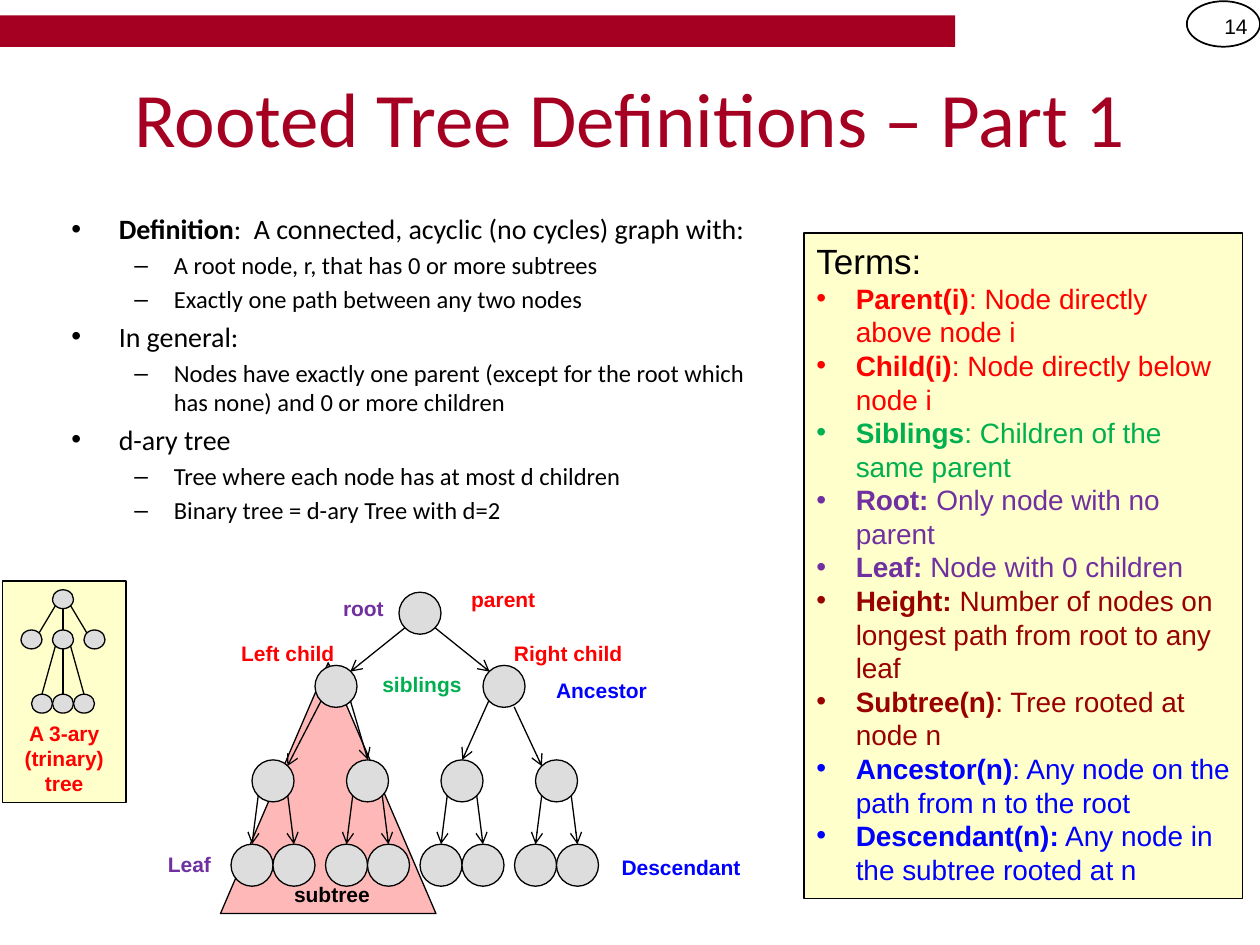
from itertools import product

from lxml.etree import SubElement
from pptx import Presentation
from pptx.dml.color import RGBColor
from pptx.enum.shapes import MSO_CONNECTOR, MSO_SHAPE
from pptx.enum.text import MSO_ANCHOR, PP_ALIGN
from pptx.oxml.ns import qn
from pptx.util import Pt

BLACK = RGBColor(0x00, 0x00, 0x00)
CRIMSON = RGBColor(0xA5, 0x00, 0x21)
CREAM = RGBColor(0xFF, 0xFF, 0xCC)
PINK = RGBColor(0xFF, 0xB8, 0xB8)
GRAY = RGBColor(0xDD, 0xDD, 0xDD)
RED = RGBColor(0xFF, 0x00, 0x00)
GREEN = RGBColor(0x00, 0xB0, 0x50)
PURPLE = RGBColor(0x70, 0x30, 0xA0)
MAROON = RGBColor(0x99, 0x00, 0x00)
BLUE = RGBColor(0x00, 0x00, 0xFF)


def write(frame, text, lead="", size=12, color=BLACK, font="Arial", bold=False,
          align=PP_ALIGN.LEFT, bullet=None, margin=0, hang=0, before=0):
    """Add a paragraph: a bold lead, then text; the first one fills the empty paragraph."""
    first = not frame.paragraphs[0].runs
    paragraph = frame.paragraphs[0] if first else frame.add_paragraph()
    if bullet:
        properties = paragraph._p.get_or_add_pPr()
        properties.set("marL", str(Pt(margin)))
        properties.set("indent", str(-Pt(hang)))
        SubElement(properties, qn("a:buFont"), typeface="Arial")
        SubElement(properties, qn("a:buChar"), char=bullet)
    paragraph.alignment = align
    if before and not first:
        paragraph.space_before = Pt(before)
    for words, heavy in ((lead, True), (text, bold)):
        if words:
            run = paragraph.add_run()
            run.text = words
            run.font.name = font
            run.font.size = Pt(size)
            run.font.bold = heavy
            run.font.color.rgb = color


class TreeSlide:
    def __init__(self, slide, line_color=BLACK, line_width=0.75, node_fill=GRAY):
        self.slide = slide
        self.line_color = line_color
        self.line_width = line_width
        self.node_fill = node_fill

    def shape(self, kind, left, top, width, height, fill=None, outline=True, weight=None):
        shape = self.slide.shapes.add_shape(kind, Pt(left), Pt(top), Pt(width), Pt(height))
        shape.shadow.inherit = False
        if fill is None:
            shape.fill.background()
        else:
            shape.fill.solid()
            shape.fill.fore_color.rgb = fill
        if outline:
            shape.line.color.rgb = self.line_color
            shape.line.width = Pt(weight or self.line_width)
        else:
            shape.line.fill.background()
        return shape

    def node(self, center, top, width=24, height=24):
        self.shape(MSO_SHAPE.OVAL, center - width / 2, top, width, height, self.node_fill)

    def edge(self, x1, y1, x2, y2, arrow=True):
        edge = self.slide.shapes.add_connector(
            MSO_CONNECTOR.STRAIGHT, Pt(x1), Pt(y1), Pt(x2), Pt(y2))
        edge.line.color.rgb = self.line_color
        edge.line.width = Pt(self.line_width)
        properties = edge._element.spPr
        if arrow:
            SubElement(properties.find(qn("a:ln")), qn("a:tailEnd"), type="arrow")
        SubElement(properties, qn("a:effectLst"))

    def text_box(self, left, top, width, height, anchor=MSO_ANCHOR.TOP):
        frame = self.slide.shapes.add_textbox(
            Pt(left), Pt(top), Pt(width), Pt(height)).text_frame
        frame.word_wrap = True
        frame.vertical_anchor = anchor
        return frame

    def label(self, text, left, top, width, color, height=21.6):
        write(self.text_box(left, top, width, height), text,
              color=color, bold=True, align=PP_ALIGN.CENTER)


def draw_header(page):
    number = page.text_box(678.2, 0.7, 41.8, 28.8, MSO_ANCHOR.MIDDLE)
    write(number, "14", align=PP_ALIGN.RIGHT)
    page.shape(MSO_SHAPE.RECTANGLE, 0, 8.8, 545.8, 18, CRIMSON, outline=False)
    page.shape(MSO_SHAPE.OVAL, 678.2, 0.7, 41.8, 26, weight=1)
    title = page.text_box(36, 21.6, 648, 90, MSO_ANCHOR.MIDDLE)
    write(title, "Rooted Tree Definitions – Part 1", size=44, color=CRIMSON,
          font="Calibri", align=PP_ALIGN.CENTER)


def draw_definition(page):
    levels = (
        dict(size=16, bullet="•", margin=27, hang=27, before=3.2),
        dict(size=14, bullet="–", margin=58.5, hang=22.5, before=2.8),
    )
    points = (
        (0, "Definition", ":  A connected, acyclic (no cycles) graph with:"),
        (1, "", "A root node, r, that has 0 or more subtrees"),
        (1, "", "Exactly one path between any two nodes"),
        (0, "", "In general:"),
        (1, "", "Nodes have exactly one parent (except for the root which has none) "
                "and 0 or more children"),
        (0, "", "d-ary tree"),
        (1, "", "Tree where each node has at most d children"),
        (1, "", "Binary tree = d-ary Tree with d=2"),
    )
    body = page.text_box(33.8, 117.4, 408.2, 206)
    for level, lead, text in points:
        write(body, text, lead, font="Calibri", **levels[level])


def draw_binary_tree(page):
    root, children = 240, (192, 288)
    grandchildren = [156 + 54 * i for i in range(4)]
    sides = (-1, 1)

    page.node(root, 338.4)
    for center in children:
        page.node(center, 380.2)
    for center in grandchildren:
        page.node(center, 434.2)
    for center, side in product(grandchildren, sides):
        page.node(center + 12 * side, 482.4)

    for side in sides:
        page.edge(root + 8.4 * side, 358.6, root + 39.8 * side, 383.8)
    page.edge(183.6, 400.3, 164.2, 437.8)
    page.edge(200.2, 400.3, 210.2, 434.2)
    page.edge(279.4, 400.3, 264.2, 434.2)
    page.edge(293.8, 403.9, 309.6, 437.8)
    for center, side in product(grandchildren, sides):
        page.edge(center + 8.4 * side, 454.3, center + 12 * side, 482.4)

    for label in (
        ("parent", 260.6, 331.9, 54, RED),
        ("Right child", 278.6, 362.2, 92.2, RED),
        ("siblings", 210.2, 380.2, 61.9, GREEN),
        ("Descendant", 342, 484.6, 94.3, BLUE),
        ("Leaf", 84.2, 483.1, 48.2, PURPLE),
        ("Left child", 120.2, 362.2, 88.6, RED),
        ("Ancestor", 296.6, 383.8, 94.3, BLUE),
        ("root", 183.6, 337, 48.2, PURPLE),
        ("subtree", 147.6, 500.4, 84.2, BLACK),
    ):
        page.label(*label)


def draw_terms(page):
    panel = page.shape(MSO_SHAPE.RECTANGLE, 459.4, 133.2, 250.6, 380.2, CREAM)
    terms = panel.text_frame
    terms.word_wrap = True
    terms.vertical_anchor = MSO_ANCHOR.TOP
    write(terms, "Terms:", size=20)
    for lead, text, color in (
        ("Parent(i)", ": Node directly above node i", RED),
        ("Child(i)", ": Node directly below node i", RED),
        ("Siblings", ": Children of the same parent", GREEN),
        ("Root: ", "Only node with no parent", PURPLE),
        ("Leaf: ", "Node with 0 children", PURPLE),
        ("Height:", " Number of nodes on longest path from root to any leaf", MAROON),
        ("Subtree(n)", ": Tree rooted at node n", MAROON),
        ("Ancestor(n)", ": Any node on the path from n to the root", BLUE),
        ("Descendant(n):", " Any node in the subtree rooted at n", BLUE),
    ):
        write(terms, text, lead, size=16, color=color, bullet="•", margin=22.5, hang=22.5)


def draw_trinary_tree(page):
    root, branches = 36, (-1, 0, 1)
    size = dict(width=12, height=10.8)
    page.node(root, 337, **size)
    for spread, top in ((18, 360), (12, 396.7)):
        for branch in branches:
            page.node(root + spread * branch, top, **size)
    for branch in branches:
        inset = 1.8 * abs(branch)
        page.edge(root + 4.3 * branch, 347.8 - inset,
                  root + 13.7 * branch, 360 + inset, arrow=False)
        page.edge(root + 4.3 * branch, 370.8 - inset,
                  root + 12 * branch, 396.7, arrow=False)
    page.label("A 3-ary (trinary) tree", 1.4, 408.2, 70.6, RED, height=51)


def main():
    deck = Presentation()
    deck.slide_width, deck.slide_height = Pt(720), Pt(540)
    page = TreeSlide(deck.slides.add_slide(deck.slide_layouts[6]))
    draw_header(page)
    page.shape(MSO_SHAPE.RECTANGLE, 1.4, 332, 70.6, 126.7, CREAM)
    page.shape(MSO_SHAPE.ISOSCELES_TRIANGLE, 126, 378.7, 123.1, 143.3, PINK)
    draw_definition(page)
    draw_binary_tree(page)
    draw_terms(page)
    draw_trinary_tree(page)
    deck.save("out.pptx")


if __name__ == "__main__":
    main()
